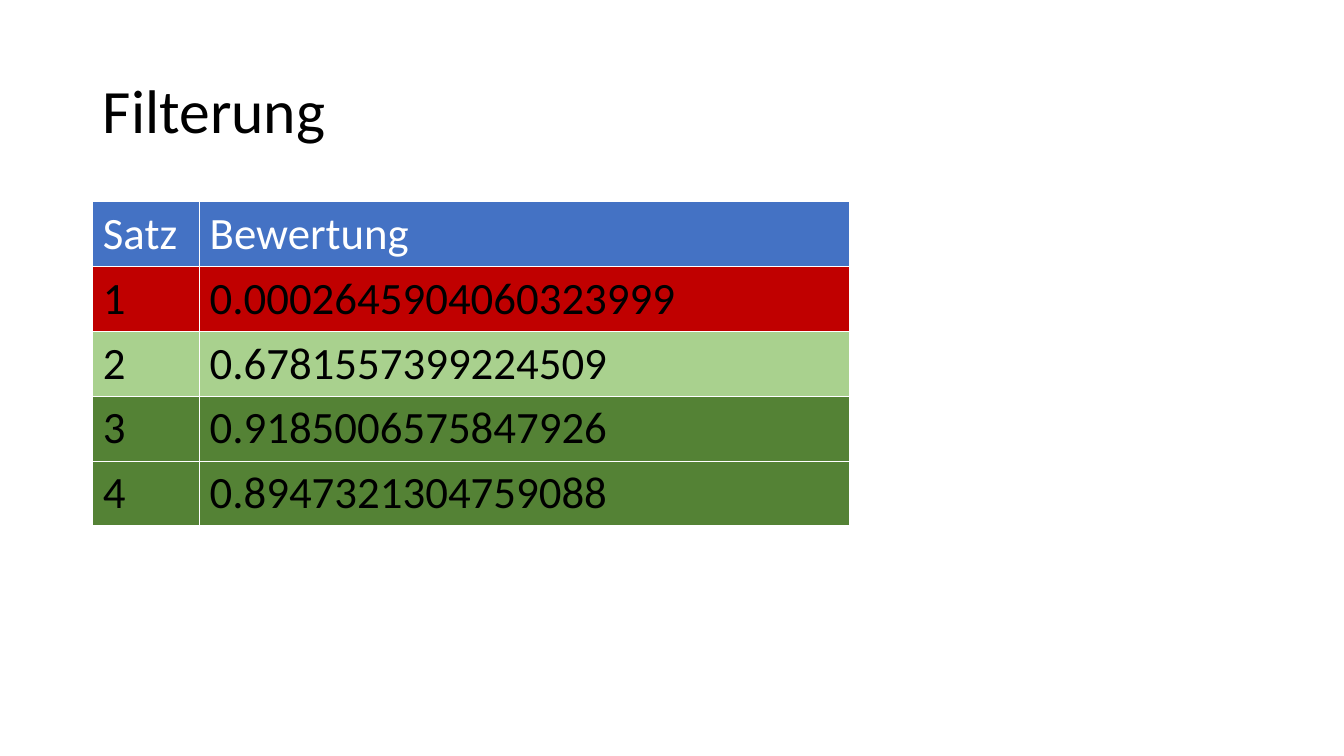
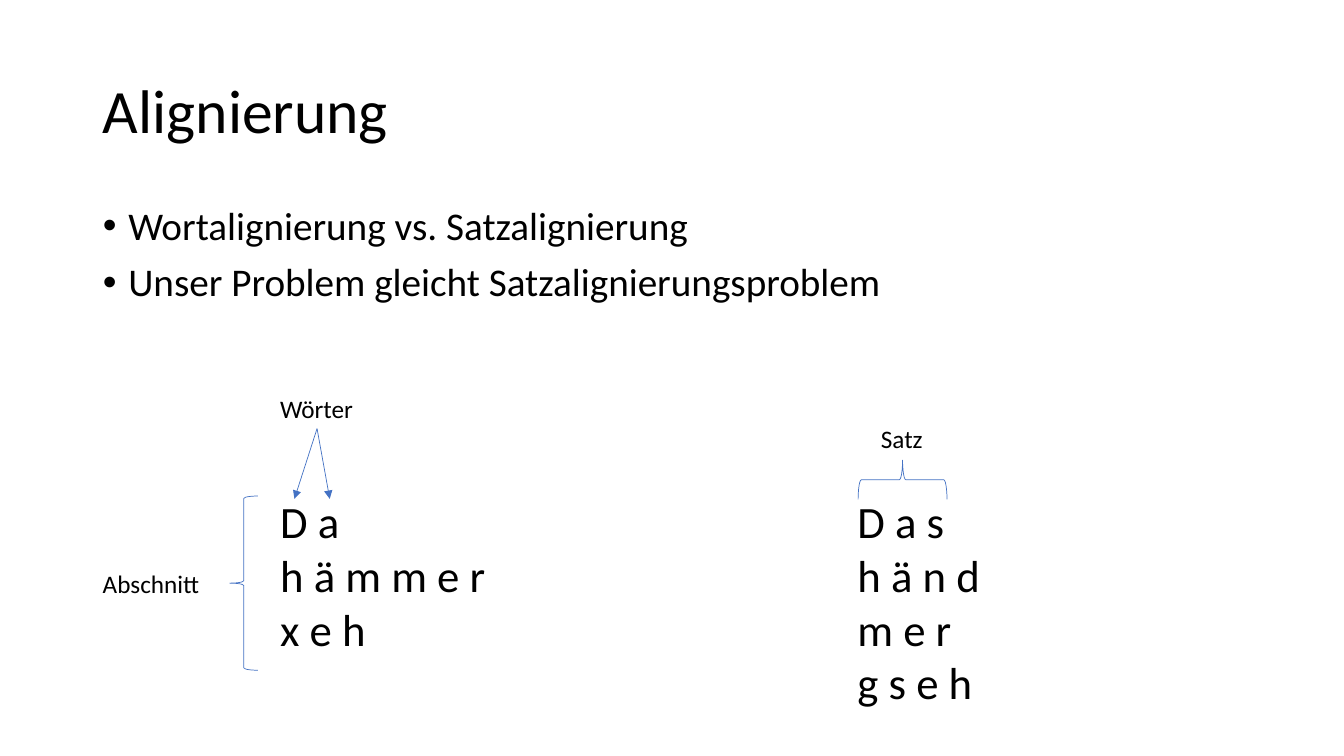
from lxml import etree
from pptx import Presentation
from pptx.dml.color import RGBColor
from pptx.enum.shapes import MSO_CONNECTOR as Connector, MSO_SHAPE as Shape
from pptx.enum.text import MSO_ANCHOR as Anchor, MSO_AUTO_SIZE as AutoSize, PP_ALIGN as Align
from pptx.oxml.ns import qn
from pptx.util import Cm, Pt

COLORS = {
    "text": "000000",
    "white": "FFFFFF",
    "accent": "4472C4",
    "rejected": "C00000",
    "accepted": "A9D18E",
    "best": "548235",
}
FONT = "Calibri"
LEFT, CONTENT_TOP = 2.34, 5.08
WIDTH, BLOCK_HEIGHT = 29.21, 3.68
LABEL_HEIGHT = 1.02
PHRASE_TOP = 12.32
ARROW_TIP = 12.57


def color(name):
    return RGBColor.from_string(COLORS[name])


def add_run(para, text, size, color_name="text"):
    run = para.add_run()
    run.text = text
    run.font.name = FONT
    run.font.size = Pt(size)
    run.font.bold = False
    run.font.color.rgb = color(color_name)


def fill_paragraphs(frame, lines, size):
    """Write one paragraph per line and return the paragraphs."""
    for index, line in enumerate(lines):
        para = frame.paragraphs[0] if index == 0 else frame.add_paragraph()
        para.alignment = Align.LEFT
        add_run(para, line, size)
    return frame.paragraphs


def place(shape, left, top, width, height):
    shape.left, shape.top = Cm(left), Cm(top)
    shape.width, shape.height = Cm(width), Cm(height)


def add_titled_slide(deck, layout_name, title):
    slide = deck.slides.add_slide(deck.slide_layouts.get_by_name(layout_name))
    box = slide.shapes.title
    place(box, LEFT, 1.02, WIDTH, BLOCK_HEIGHT)
    box.text_frame.vertical_anchor = Anchor.MIDDLE
    for para in fill_paragraphs(box.text_frame, [title], 44):
        para.line_spacing = 0.9
    return slide


def add_bullets(slide, lines):
    body = slide.placeholders[1]
    place(body, LEFT, CONTENT_TOP, WIDTH, BLOCK_HEIGHT)
    body.text_frame.auto_size = AutoSize.NONE
    for para in fill_paragraphs(body.text_frame, lines, 28):
        para.line_spacing = 0.9
        para.space_before = Pt(10)
        properties = para._p.get_or_add_pPr()
        properties.set("marL", str(Cm(0.64)))
        properties.set("indent", str(-Cm(0.64)))
        etree.SubElement(properties, qn("a:buChar")).set("char", "•")


def add_text(slide, lines, size, left, top, width, height):
    box = slide.shapes.add_textbox(Cm(left), Cm(top), Cm(width), Cm(height))
    box.text_frame.word_wrap = False
    box.text_frame.auto_size = AutoSize.SHAPE_TO_FIT_TEXT
    fill_paragraphs(box.text_frame, lines, size)
    return box


def style_line(line):
    line.color.rgb = color("accent")
    line.width = Pt(0.5)


def add_brace(slide, left, top, width, height, rotation=0):
    brace = slide.shapes.add_shape(
        Shape.LEFT_BRACE, Cm(left), Cm(top), Cm(width), Cm(height))
    brace.rotation = rotation
    brace.shadow.inherit = False
    brace.fill.background()
    style_line(brace.line)


def add_arrow(slide, label, tip_x, tip_y):
    """Draw an arrow from the bottom of a label to a point."""
    arrow = slide.shapes.add_connector(
        Connector.STRAIGHT, label.left + label.width // 2,
        label.top + label.height, Cm(tip_x), Cm(tip_y))
    arrow.begin_connect(label, 2)
    style_line(arrow.line)
    etree.SubElement(arrow.line._get_or_add_ln(), qn("a:tailEnd")).set("type", "triangle")
    etree.SubElement(arrow._element.spPr, qn("a:effectLst"))


def add_rating_table(slide, rows, column_widths, row_height):
    """Each row is a fill colour, a text colour and the cell texts."""
    table = slide.shapes.add_table(
        len(rows), len(column_widths), Cm(LEFT), Cm(CONTENT_TOP),
        Cm(sum(column_widths)), Cm(row_height * len(rows))).table
    for column, width in zip(table.columns, column_widths):
        column.width = Cm(width)
    for row, (fill, text_color, texts) in zip(table.rows, rows):
        row.height = Cm(row_height)
        for cell, text in zip(row.cells, texts):
            cell.fill.solid()
            cell.fill.fore_color.rgb = color(fill)
            add_run(cell.text_frame.paragraphs[0], text, 32, text_color)


def build_filter_slide(deck):
    slide = add_titled_slide(deck, "Title Only", "Filterung")
    rows = [
        ("accent", "white", ("Satz", "Bewertung")),
        ("rejected", "text", ("1", "0.0002645904060323999")),
        ("accepted", "text", ("2", "0.6781557399224509")),
        ("best", "text", ("3", "0.9185006575847926")),
        ("best", "text", ("4", "0.8947321304759088")),
    ]
    add_rating_table(slide, rows, (2.69, 16.38), 1.63)


def build_alignment_slide(deck):
    slide = add_titled_slide(deck, "Title and Content", "Alignierung")
    add_bullets(slide, ["Wortalignierung vs. Satzalignierung",
                        "Unser Problem gleicht Satzalignierungsproblem"])

    # Phrases to align
    add_text(slide, ["D a", "h ä m m e r", "x e h"], 32, 6.81, PHRASE_TOP, 5.74, 4.37)
    add_text(slide, ["D a s", "h ä n d", "m e r", "g s e h"], 32,
             21.36, PHRASE_TOP, 3.63, 5.74)

    # Section and sentence braces
    add_brace(slide, 5.79, 12.5, 0.71, 4.39)
    add_text(slide, ["Abschnitt"], 18, LEFT, 14.2, 2.97, LABEL_HEIGHT)
    add_brace(slide, 22.25, 10.97, 0.99, 2.24, rotation=90)
    add_text(slide, ["Satz"], 18, 21.95, 10.54, 1.57, LABEL_HEIGHT)

    # Word arrows
    words = add_text(slide, ["Wörter"], 18, 6.81, 9.78, 2.36, LABEL_HEIGHT)
    for tip_x in (7.42, 8.31):
        add_arrow(slide, words, tip_x, ARROW_TIP)


def main():
    deck = Presentation()
    deck.slide_width, deck.slide_height = Cm(33.87), Cm(19.05)
    build_filter_slide(deck)
    build_alignment_slide(deck)
    deck.save("out.pptx")


if __name__ == "__main__":
    main()
